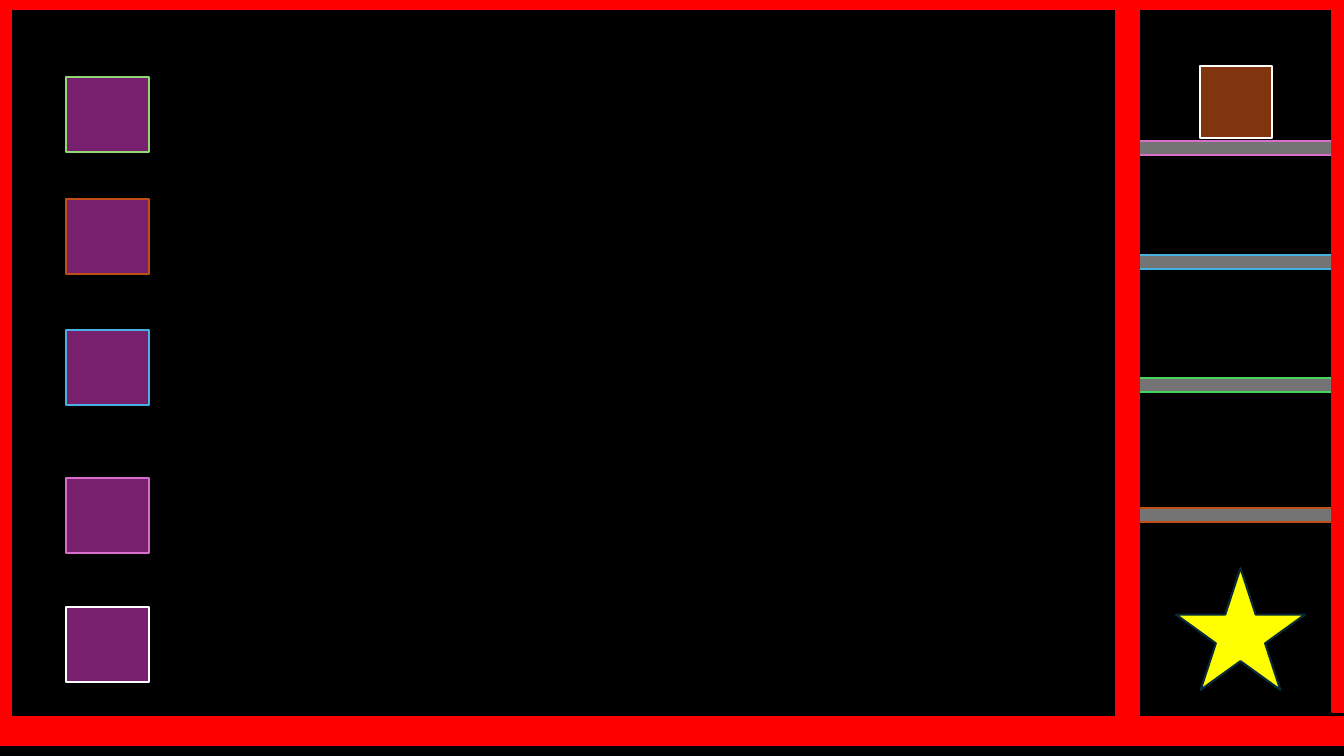
"""Build a game level slide with walls, coloured buttons, doors, a player block and a goal star."""
from pptx import Presentation
from pptx.dml.color import RGBColor
from pptx.enum import shapes
from pptx.util import Emu, Pt

COLORS = {
    "black": "000000", "red": "FF0000", "yellow": "FFFF00", "navy": "092A39",
    "brown": "80350E", "white": "FFFFFF", "gray": "747474", "purple": "78206E",
    "pink": "D86ECC", "blue": "46B1E1", "green": "47D45A", "lime": "8ED973",
    "orange": "C04F15",
}
SLIDE_W, SLIDE_H = 1344, 756
EMU_PER_PX = 914400 / 100.8

FLOOR = (0, 0, SLIDE_W, SLIDE_H)
STAR = (1176, 568, 129, 122)
PLAYER = (1200, 66, 72, 72)

DOOR_LEFT, DOOR_W, DOOR_H = 1138, 195, 14
DOORS = [(141, "pink"), (255, "blue"), (378, "green"), (508, "orange")]

BUTTON_LEFT, BUTTON_W, BUTTON_H = 66, 83, 75
BUTTONS = [(77, "lime"), (199, "orange"), (330, "blue"), (478, "pink"), (607, "white")]

WALL_LENGTH, WALL_HEIGHT = 1423, 731
BEAM, POST = 28, 23
BEAMS = [(-74, 717), (-80, -19)]
POSTS = [(-12, -15), (1332, -19), (1116, -13)]


def px(length):
    return Emu(round(length * EMU_PER_PX))


def draw(slide, box, fill, outline, preset=shapes.MSO_SHAPE.RECTANGLE):
    piece = slide.shapes.add_shape(preset, *map(px, box))
    piece.shadow.inherit = False
    piece.fill.solid()
    piece.fill.fore_color.rgb = RGBColor.from_string(COLORS[fill])
    piece.line.color.rgb = RGBColor.from_string(COLORS[outline])
    piece.line.width = Pt(1.5)


def main():
    deck = Presentation()
    deck.slide_width, deck.slide_height = px(SLIDE_W), px(SLIDE_H)
    level = deck.slides.add_slide(deck.slide_layouts[6])

    draw(level, FLOOR, "black", "black")
    draw(level, STAR, "yellow", "navy", shapes.MSO_SHAPE.STAR_5_POINT)
    draw(level, PLAYER, "brown", "white")
    for top, outline in DOORS:
        draw(level, (DOOR_LEFT, top, DOOR_W, DOOR_H), "gray", outline)
    for top, outline in BUTTONS:
        draw(level, (BUTTON_LEFT, top, BUTTON_W, BUTTON_H), "purple", outline)
    for left, top in BEAMS:
        draw(level, (left, top, WALL_LENGTH, BEAM), "red", "red")
    for left, top in POSTS:
        draw(level, (left, top, POST, WALL_HEIGHT), "red", "red")

    deck.save("out.pptx")


if __name__ == "__main__":
    main()
